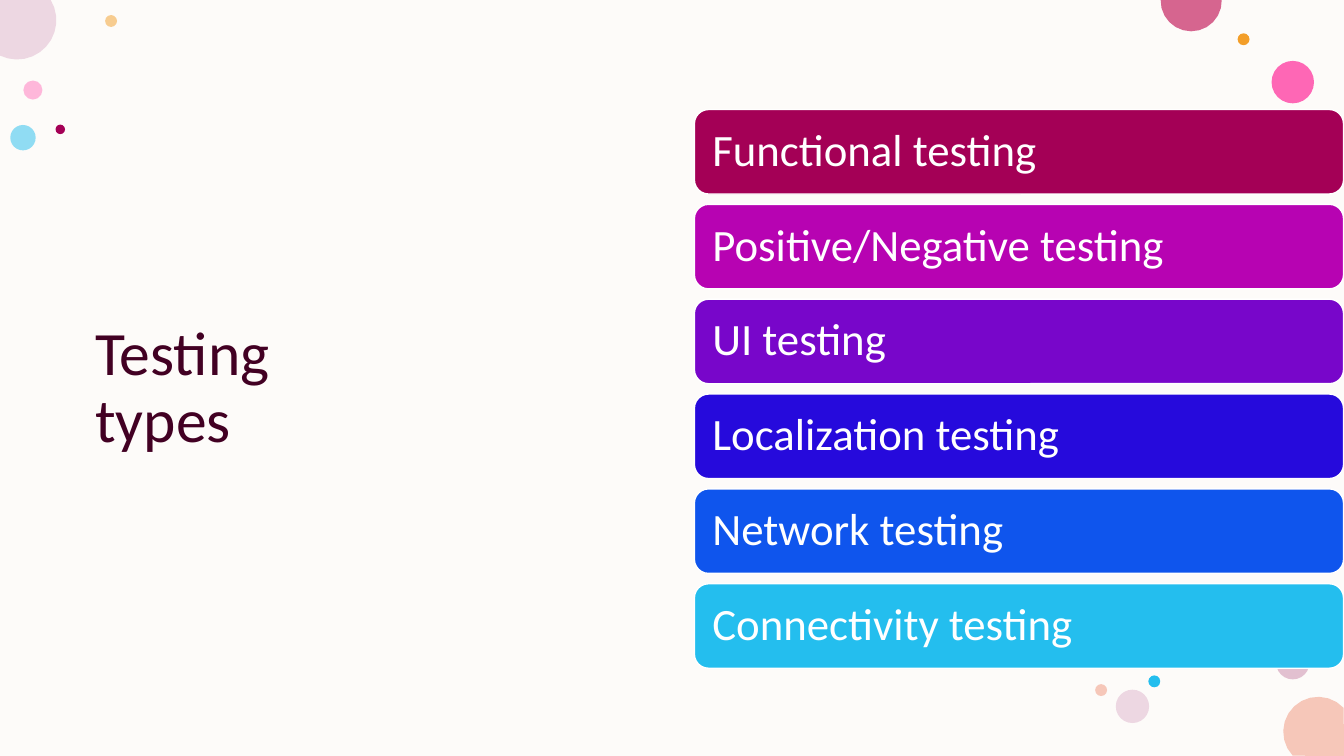
from math import cos, radians, sin

from lxml import etree
from pptx import Presentation
from pptx.dml.color import RGBColor
from pptx.enum.shapes import MSO_SHAPE
from pptx.enum.text import MSO_ANCHOR, MSO_AUTO_SIZE, PP_ALIGN
from pptx.oxml.ns import qn
from pptx.util import Cm, Pt

RECTANGLE, ELLIPSE, ROUNDED = MSO_SHAPE.RECTANGLE, MSO_SHAPE.OVAL, MSO_SHAPE.ROUNDED_RECTANGLE
MIDDLE, LEFT, NO_FIT = MSO_ANCHOR.MIDDLE, PP_ALIGN.LEFT, MSO_AUTO_SIZE.NONE

PAGE_WIDTH, PAGE_HEIGHT = 33.87, 19.05
FONT = "Calibri"
COLOURS = {
    "paper": "FDFBF9", "white": "FFFFFF", "title": "420023",
    "wine": "A40056", "magenta": "B703B2", "violet": "7806CA",
    "indigo": "260ADC", "blue": "0F55ED", "sky": "24BEEE",
    "pink": "FF75BD", "hot pink": "FF2F9C", "orange": "F39E29",
    "mauve": "C987A8", "blush": "EDD7E2", "peach": "F6C7B9",
    "rose": "D6658F",
}

TITLE = "Testing types"
TESTING_TYPES = [
    ("Functional testing", "wine"),
    ("Positive/Negative testing", "magenta"),
    ("UI testing", "violet"),
    ("Localization testing", "indigo"),
    ("Network testing", "blue"),
    ("Connectivity testing", "sky"),
]
# centre x, centre y, diameter (cm), colour, opacity in percent
DOTS = [
    (0.83, 2.27, 0.48, "pink", 50),
    (2.8, 0.53, 0.3, "orange", 50),
    (32.58, 16.7, 0.84, "mauve", 50),
    (0.58, 3.47, 0.64, "sky", 50),
    (32.58, 2.07, 1.07, "hot pink", 72),
    (31.34, 0.99, 0.3, "orange", 100),
    (29.09, 17.17, 0.3, "sky", 100),
    (28.54, 17.8, 0.84, "blush", 100),
    (27.75, 17.39, 0.3, "peach", 100),
    (1.52, 3.26, 0.24, "wine", 100),
]
# centre x, centre y, radius (cm), colour, arc start and end (degrees), page corner
CUT_DOTS = [
    (33.22, 18.44, 0.88, "peach", 136.7, 316.9, [(PAGE_WIDTH, PAGE_HEIGHT)]),
    (0.43, 0.51, 0.99, "blush", -31, 115.7, [(0, 0)]),
    (30.02, 0.02, 0.77, "rose", -1.5, 181.5, []),
]
ARC_STEPS = 12
BAR_LEFT, BAR_TOP, BAR_WIDTH, BAR_HEIGHT, BAR_PITCH = 17.5, 2.76, 16.36, 2.13, 2.39
BAR_INSET = 0.35


def colour(name):
    """Return the named colour."""
    return RGBColor.from_string(COLOURS[name])


def paint(shape, fill, opacity=100, line=None):
    """Give a shape a flat fill, an optional 1 pt line and no shadow."""
    shape.shadow.inherit = False
    shape.fill.solid()
    shape.fill.fore_color.rgb = colour(fill)
    if opacity < 100:
        value = shape.fill._xPr.find(qn("a:solidFill"))[0]
        etree.SubElement(value, qn("a:alpha"), val=str(opacity * 1000))
    if line:
        shape.line.color.rgb = colour(line)
        shape.line.width = Pt(1)
    else:
        shape.line.fill.background()


def write(shape, text, size, ink, inset=None):
    """Write one left-aligned, vertically centred paragraph in a shape."""
    frame = shape.text_frame
    frame.word_wrap = True
    frame.auto_size = NO_FIT
    frame.vertical_anchor = MIDDLE
    if inset is not None:
        frame.margin_left = frame.margin_right = Cm(inset)
        frame.margin_top = frame.margin_bottom = Cm(inset)
    para = frame.paragraphs[0]
    para.alignment = LEFT
    para.line_spacing = 0.9
    span = para.add_run()
    span.text = text
    span.font.name = FONT
    span.font.size = Pt(size)
    span.font.color.rgb = colour(ink)


def add_preset(page, preset, left, top, width, height):
    """Add a preset shape measured in centimetres."""
    return page.shapes.add_shape(preset, Cm(left), Cm(top), Cm(width), Cm(height))


def add_dot(page, x, y, diameter, fill, opacity):
    """Draw a whole circle around its centre."""
    dot = add_preset(page, ELLIPSE, x - diameter / 2, y - diameter / 2, diameter, diameter)
    paint(dot, fill, opacity)


def add_cut_dot(page, x, y, radius, fill, start, end, corner):
    """Draw the part of a circle that lies on the page."""
    angles = [radians(start + (end - start) * step / ARC_STEPS)
              for step in range(ARC_STEPS + 1)]
    arc = [(x + radius * cos(angle), y + radius * sin(angle)) for angle in angles]
    points = [(Cm(min(max(across, 0), PAGE_WIDTH)), Cm(min(max(down, 0), PAGE_HEIGHT)))
              for across, down in arc + corner]
    outline = page.shapes.build_freeform(*points[0])
    outline.add_line_segments(points[1:], close=True)
    paint(outline.convert_to_shape(), fill)


def add_bar(page, row, text, fill):
    """Draw the rounded bar for one testing type."""
    bar = add_preset(page, ROUNDED, BAR_LEFT, BAR_TOP + row * BAR_PITCH, BAR_WIDTH, BAR_HEIGHT)
    paint(bar, fill, line="white")
    write(bar, text, 32, "white", BAR_INSET)


def add_title(page):
    """Fill the title placeholder and bring it to the front."""
    title = page.shapes.title
    title.left, title.top = Cm(2.15), Cm(2.64)
    title.width, title.height = Cm(7.95), Cm(14.33)
    write(title, TITLE, 44, "title")
    page.shapes._spTree.append(title._element)


deck = Presentation()
deck.slide_width, deck.slide_height = Cm(PAGE_WIDTH), Cm(PAGE_HEIGHT)
page = deck.slides.add_slide(deck.slide_layouts.get_by_name("Title Only"))
paper = add_preset(page, RECTANGLE, 0, 0, PAGE_WIDTH, PAGE_HEIGHT)
paint(paper, "paper")
for dot in DOTS:
    add_dot(page, *dot)
for cut_dot in CUT_DOTS:
    add_cut_dot(page, *cut_dot)
for row, (text, fill) in enumerate(TESTING_TYPES):
    add_bar(page, row, text, fill)
add_title(page)
deck.save("out.pptx")
